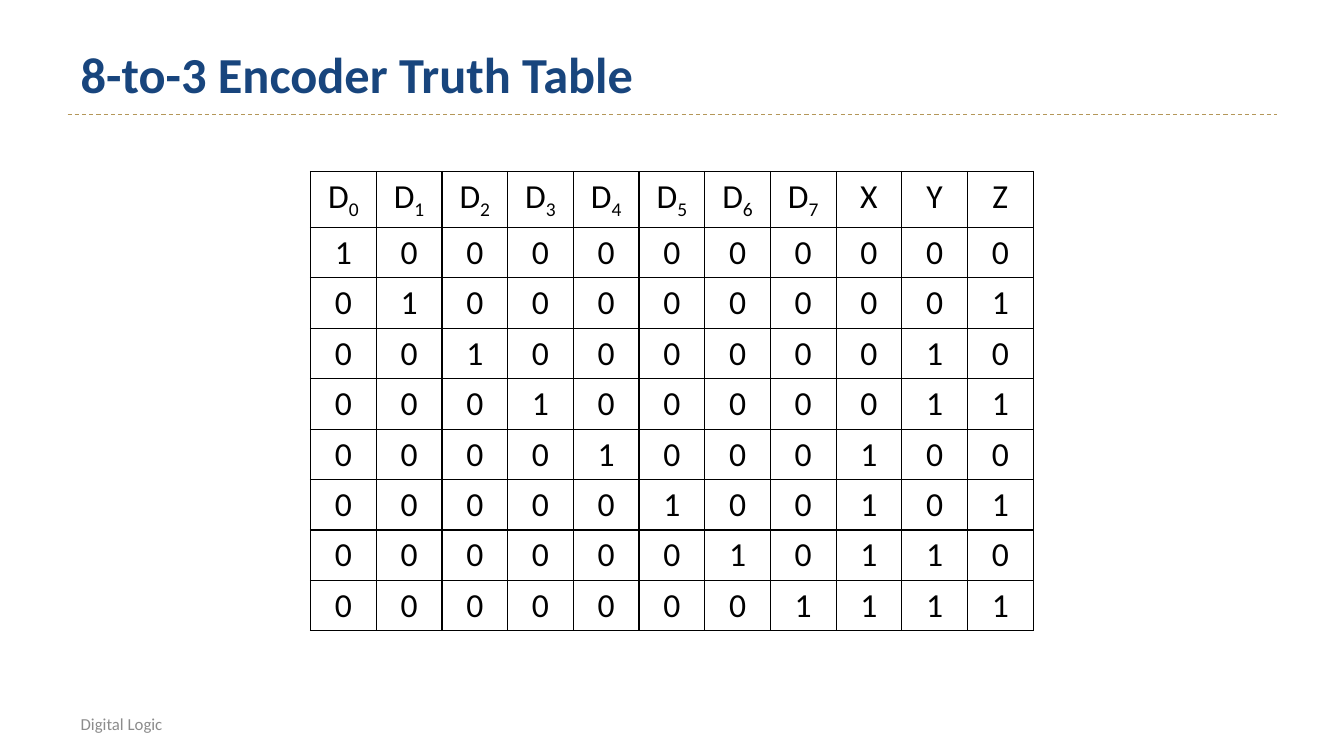
"""Build the 8-to-3 encoder truth table slide."""
import lxml.etree
import pptx
import pptx.dml.color
import pptx.enum.dml
import pptx.enum.shapes
import pptx.enum.text
import pptx.oxml
import pptx.oxml.ns
import pptx.util

Inches = pptx.util.Inches
Pt = pptx.util.Pt
qn = pptx.oxml.ns.qn

TITLE = "8-to-3 Encoder Truth Table"
FOOTER = "Digital Logic"
HEADERS = ["D0", "D1", "D2", "D3", "D4", "D5", "D6", "D7", "X", "Y", "Z"]
ROWS = [
    "10000000000",
    "01000000001",
    "00100000010",
    "00010000011",
    "00001000100",
    "00000100101",
    "00000010110",
    "00000001111",
]
COLORS = {"title": "18457D", "rule": "B49759", "footer": "8C8C8C", "ink": "000000"}
FONT = "Calibri"


def add_span(para, text, size, color, bold=False):
    span = para.add_run()
    span.text = text
    span.font.name = FONT
    span.font.size = Pt(size)
    span.font.bold = bold
    span.font.color.rgb = pptx.dml.color.RGBColor.from_string(COLORS[color])
    return span


def add_label(page, place, text, size, color, bold=False):
    box = page.shapes.add_textbox(*map(Inches, place))
    frame = box.text_frame
    frame.word_wrap = True
    frame.vertical_anchor = pptx.enum.text.MSO_ANCHOR.MIDDLE
    frame.margin_left = frame.margin_right = Inches(0.13)
    frame.margin_top = frame.margin_bottom = Inches(0.07)
    add_span(frame.paragraphs[0], text, size, color, bold)


def add_rule(page):
    left, right, top = Inches(0.67), Inches(12.67), Inches(1.14)
    rule = page.shapes.add_connector(
        pptx.enum.shapes.MSO_CONNECTOR.STRAIGHT, left, top, right, top)
    rule.line.color.rgb = pptx.dml.color.RGBColor.from_string(COLORS["rule"])
    rule.line.width = Pt(0.75)
    rule.line.dash_style = pptx.enum.dml.MSO_LINE.DASH
    lxml.etree.SubElement(rule._element.spPr, qn("a:effectLst"))


def add_borders(cell):
    properties = cell._tc.get_or_add_tcPr()
    for position, side in enumerate(("a:lnL", "a:lnR", "a:lnT", "a:lnB")):
        border = lxml.etree.Element(qn(side), w=str(Pt(1)))
        fill = lxml.etree.SubElement(border, qn("a:solidFill"))
        lxml.etree.SubElement(fill, qn("a:srgbClr"), val=COLORS["ink"])
        properties.insert(position, border)


def fill_cell(cell, text):
    cell.fill.background()
    add_borders(cell)
    para = cell.text_frame.paragraphs[0]
    para.alignment = pptx.enum.text.PP_ALIGN.CENTER
    add_span(para, text[0], 24, "ink")
    if len(text) > 1:
        subscript = add_span(para, text[1:], 24, "ink")
        subscript.font._element.set("baseline", "-25000")


def add_truth_table(page):
    lines = [HEADERS, *ROWS]
    table = page.shapes.add_table(
        len(lines), len(HEADERS),
        Inches(3.08), Inches(1.7), Inches(7.17), Inches(4.5)).table
    table.first_row = False
    table.horz_banding = False
    for row, line in enumerate(lines):
        for column, text in enumerate(line):
            fill_cell(table.cell(row, column), text)


def main():
    deck = pptx.Presentation()
    deck.slide_width, deck.slide_height = Inches(13.33), Inches(7.5)
    page = deck.slides.add_slide(deck.slide_layouts[6])
    add_rule(page)
    add_label(page, (0.67, 7.06, 1.83, 0.24), FOOTER, 12, "footer")
    add_label(page, (0.67, 0.29, 12, 0.87), TITLE, 36, "title", bold=True)
    add_truth_table(page)
    deck.save("out.pptx")


if __name__ == "__main__":
    main()
